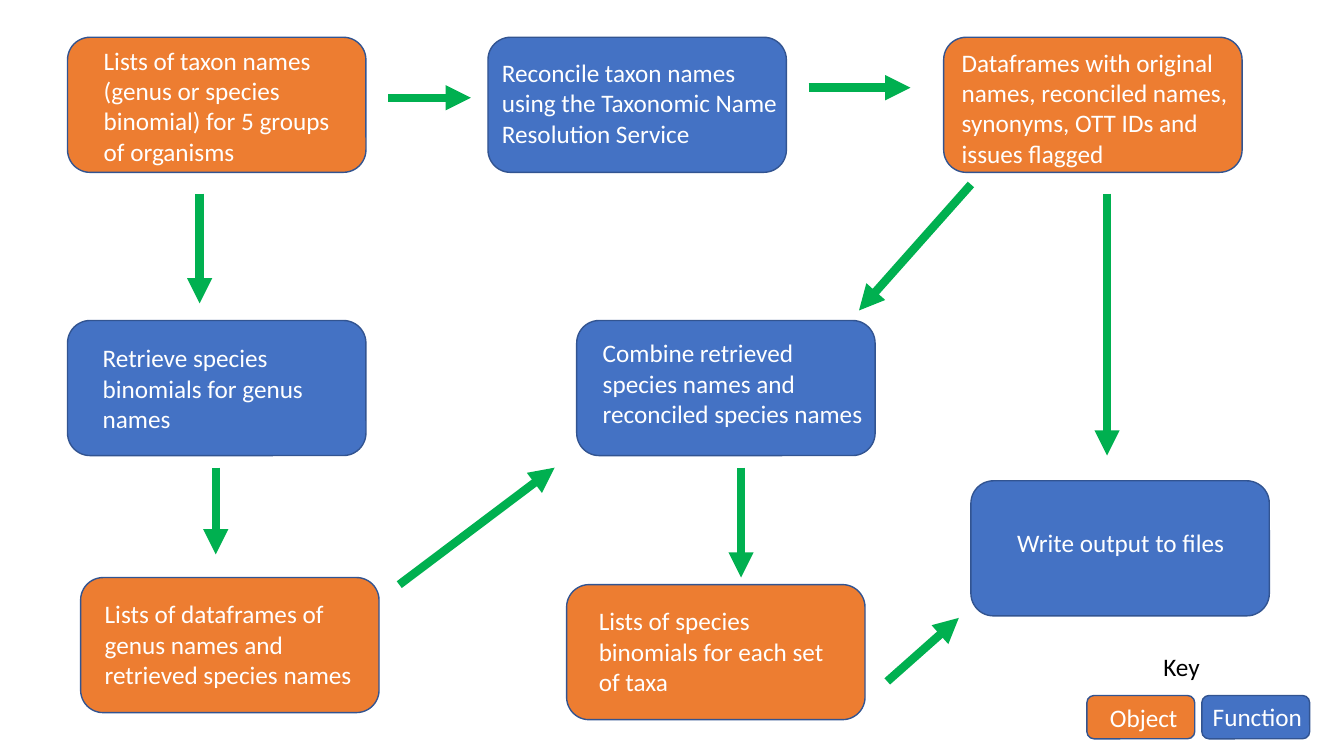
import dataclasses

import lxml.etree
import pptx
import pptx.dml.color
import pptx.enum.shapes
import pptx.enum.text
import pptx.oxml.ns
import pptx.util

PX = 9144  # EMU per px, 100 px to the inch


@dataclasses.dataclass(frozen=True)
class Theme:
    data: str = "ED7D31"
    function: str = "4472C4"
    outline: str = "325491"
    arrow: str = "00B050"
    on_fill: str = "FFFFFF"
    key_title: str = "000000"
    font: str = "Calibri"
    text_size: int = 18
    outline_width: int = 1
    arrow_width: int = 6


THEME = Theme()
STEP_SIZE = (296, 134)
KEY_SIZE = (107, 43)

# left, top, fill, text, then the text's offset and size within the step
STEPS = [
    (67, 37, THEME.data,
     "Lists of taxon names (genus or species binomial) for 5 groups of organisms",
     (26, 3, 249, 131)),
    (484, 37, THEME.function,
     "Reconcile taxon names using the Taxonomic Name Resolution Service",
     (4, 15, 296, 101)),
    (936, 37, THEME.data,
     "Dataframes with original names, reconciled names, synonyms, OTT IDs and issues flagged",
     (8, 5, 296, 131)),
    (67, 318, THEME.function,
     "Retrieve species binomials for genus names",
     (25, 17, 251, 101)),
    (572, 318, THEME.function,
     "Combine retrieved species names and reconciled species names",
     (16, 12, 286, 101)),
    (80, 573, THEME.data,
     "Lists of dataframes of genus names and retrieved species names",
     (14, 16, 287, 101)),
    (562, 580, THEME.data,
     "Lists of species binomials for each set of taxa",
     (22, 16, 251, 101)),
    (963, 477, THEME.function,
     "Write output to files",
     (36, 41, 251, 40)),
]

ARROWS = [
    ((385, 97), (467, 97)),
    ((802, 87), (903, 87)),
    ((198, 192), (198, 301)),
    ((963, 183), (852, 308)),
    ((1098, 192), (1098, 452)),
    ((214, 464), (214, 550)),
    ((396, 580), (550, 464)),
    ((735, 464), (735, 573)),
    ((880, 676), (951, 613)),
]


def to_emu(*lengths):
    return [pptx.util.Emu(length * PX) for length in lengths]


def rgb(colour):
    return pptx.dml.color.RGBColor.from_string(colour)


def add_label(slide, box, text, colour):
    label = slide.shapes.add_textbox(*to_emu(*box))
    frame = label.text_frame
    frame.word_wrap = True
    frame.auto_size = pptx.enum.text.MSO_AUTO_SIZE.SHAPE_TO_FIT_TEXT
    run = frame.paragraphs[0].add_run()
    run.text = text
    run.font.name = THEME.font
    run.font.size = pptx.util.Pt(THEME.text_size)
    run.font.color.rgb = rgb(colour)


def add_step(slide, box, fill, text, label_box):
    """Draw a rounded step; label_box is relative to the step's corner."""
    left, top, width, height = box
    step = slide.shapes.add_shape(
        pptx.enum.shapes.MSO_SHAPE.ROUNDED_RECTANGLE, *to_emu(*box))
    step.shadow.inherit = False
    step.fill.solid()
    step.fill.fore_color.rgb = rgb(fill)
    step.line.color.rgb = rgb(THEME.outline)
    step.line.width = pptx.util.Pt(THEME.outline_width)
    dx, dy, label_width, label_height = label_box
    add_label(slide, (left + dx, top + dy, label_width, label_height),
              text, THEME.on_fill)


def add_arrow(slide, start, end):
    arrow = slide.shapes.add_connector(
        pptx.enum.shapes.MSO_CONNECTOR.STRAIGHT, *to_emu(*start, *end))
    arrow.line.color.rgb = rgb(THEME.arrow)
    arrow.line.width = pptx.util.Pt(THEME.arrow_width)
    lxml.etree.SubElement(arrow.line._get_or_add_ln(),
                          pptx.oxml.ns.qn("a:tailEnd"), type="triangle")
    lxml.etree.SubElement(arrow._element.spPr,
                          pptx.oxml.ns.qn("a:effectLst"))


def add_flow(slide, left, top):
    for step_left, step_top, fill, text, label_box in STEPS:
        add_step(slide, (left + step_left, top + step_top, *STEP_SIZE),
                 fill, text, label_box)
    for (x1, y1), (x2, y2) in ARROWS:
        add_arrow(slide, (left + x1, top + y1), (left + x2, top + y2))


def add_key(slide, left, top):
    add_label(slide, (left + 66, top, 96, 40), "Key", THEME.key_title)
    entries = [
        ("Object", THEME.data, (13, 2, 96, 40)),
        ("Function", THEME.function, (1, 1, 113, 40)),
    ]
    for column, (text, fill, label_box) in enumerate(entries):
        add_step(slide, (left + 114 * column, top + 49, *KEY_SIZE),
                 fill, text, label_box)


def main():
    deck = pptx.Presentation()
    deck.slide_width, deck.slide_height = to_emu(1333, 750)
    slide = deck.slides.add_slide(deck.slide_layouts[6])
    add_flow(slide, 0, 0)
    add_key(slide, 1078, 641)
    deck.save("out.pptx")


if __name__ == "__main__":
    main()
